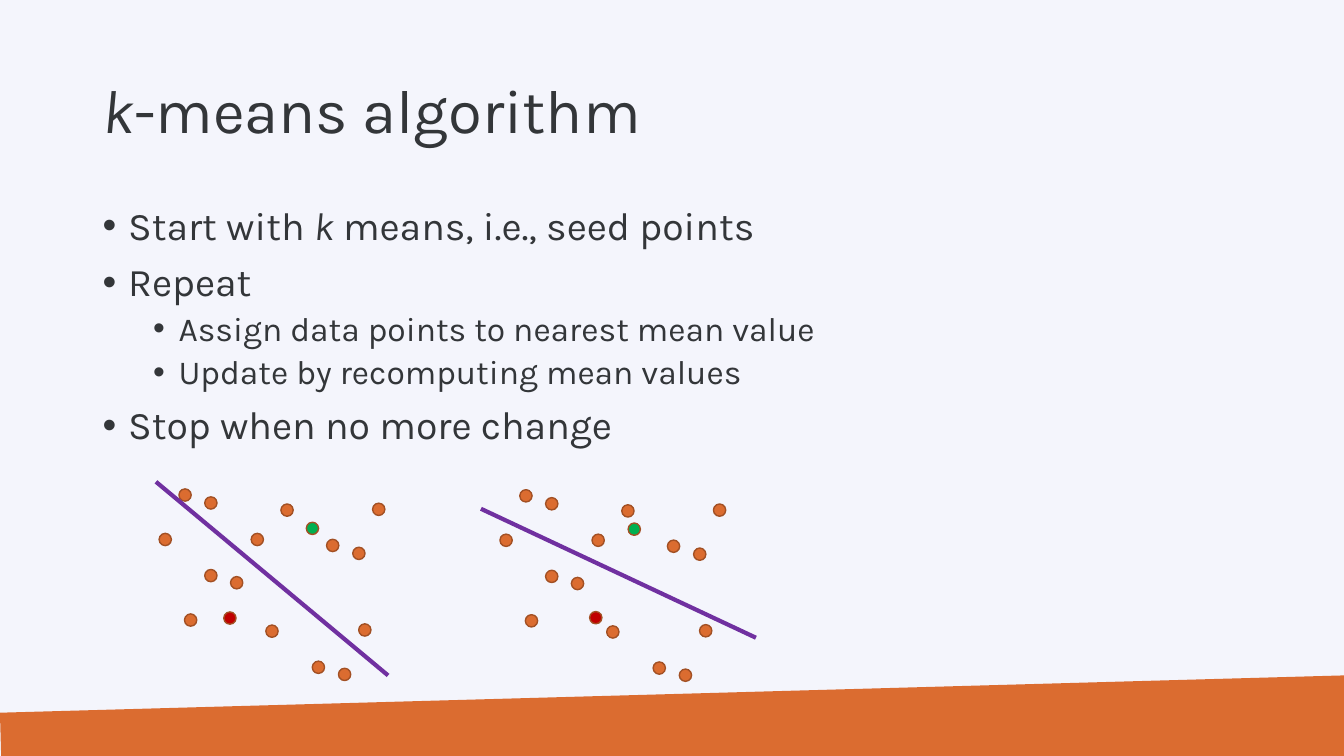
from lxml import etree
from pptx import Presentation
from pptx.dml.color import RGBColor as Rgb
from pptx.enum.shapes import MSO_CONNECTOR as Conn, MSO_SHAPE as Shape
from pptx.enum.text import MSO_ANCHOR as Anchor
from pptx.oxml.ns import qn
from pptx.util import Cm, Pt

HUES = {
    "back": "F4F5FC", "text": "333639", "dot": "DB6C30", "rim": "A25024",
    "green": "00B050", "red": "C00000", "split": "7030A0",
}
FONT = "Karla"
WIDE, HIGH = 33.87, 19.05
DOT = 0.31

# Data points in cm, from the corner of a plot
DATA = [
    (0.64, 3.15), (1.8, 2.21), (1.15, 2.03), (2.32, 1.12), (0, 1.12),
    (1.15, 0.2), (0.5, 0), (4.88, 1.47), (4.22, 1.27), (5.38, 0.36),
    (3.07, 0.38), (4.52, 4.52), (3.86, 4.34), (5.03, 3.4), (2.69, 3.43),
]

# Each plot: corner, the two means, and the ends of the dividing line
PLOTS = [
    {"left": 4.01, "top": 12.32, "green": (3.71, 0.84), "red": (1.63, 3.1),
     "split": [(-0.08, -0.18), (5.77, 4.7)]},
    {"left": 12.6, "top": 12.34, "green": (3.23, 0.84), "red": (2.26, 3.07),
     "split": [(-0.48, 0.48), (6.45, 3.73)]},
]

# Level and runs of each bullet; italic runs stand at odd places
ITEMS = [
    (0, ["Start with ", "k", " means, i.e., seed points"]),
    (0, ["Repeat"]),
    (1, ["Assign data points to nearest mean value"]),
    (1, ["Update by recomputing mean values"]),
    (0, ["Stop when no more change"]),
]


def hue(name):
    return Rgb.from_string(HUES[name])


def paint(shape, fill):
    shape.shadow.inherit = False
    shape.fill.solid()
    shape.fill.fore_color.rgb = hue(fill)


def write(para, text, size=28, italic=False, color="text"):
    run = para.add_run()
    run.text = text
    font = run.font
    font.name, font.size, font.italic = FONT, Pt(size), italic
    font.color.rgb = hue(color)


def frame(slide, left, top, width, height, anchor):
    box = slide.shapes.add_textbox(Cm(left), Cm(top), Cm(width), Cm(height))
    text = box.text_frame
    text.word_wrap = True
    text.vertical_anchor = anchor
    return text


def bullet(para, level):
    props = para._p.get_or_add_pPr()
    props.set("marL", str(Cm(0.64 + 1.27 * level)))
    props.set("indent", str(Cm(-0.64)))
    etree.SubElement(props, qn("a:buFont")).set("typeface", "Arial")
    etree.SubElement(props, qn("a:buChar")).set("char", "•")


def footer(slide, left, top, width, height):
    right, base = left + width, top + height
    form = slide.shapes.build_freeform(Cm(left), Cm(top + 0.94))
    form.add_line_segments(
        [(Cm(x), Cm(y)) for x, y in
         [(right, top), (right, base), (left + 0.03, base)]])
    band = form.convert_to_shape()
    paint(band, "dot")
    band.line.fill.background()


def title(slide, left, top, width, height):
    para = frame(slide, left, top, width, height, Anchor.MIDDLE).paragraphs[0]
    para.line_spacing = 0.9
    write(para, "k", size=44, italic=True)
    write(para, "-means algorithm", size=44)


def body(slide, left, top, width, height):
    text = frame(slide, left, top, width, height, Anchor.TOP)
    for place, (level, runs) in enumerate(ITEMS):
        para = text.add_paragraph() if place else text.paragraphs[0]
        para.level = level
        para.line_spacing = 0.9
        para.space_before = Pt(5 if level else 10)
        bullet(para, level)
        for part, words in enumerate(runs):
            write(para, words, size=24 if level else 28, italic=part % 2 == 1)


def plot(slide, left, top, green, red, split):
    # Data points, then the two means
    dots = [(spot, "dot") for spot in DATA] + [(green, "green"), (red, "red")]
    for (x, y), fill in dots:
        dot = slide.shapes.add_shape(
            Shape.OVAL, Cm(left + x), Cm(top + y), Cm(DOT), Cm(DOT))
        paint(dot, fill)
        dot.line.color.rgb = hue("rim")
        dot.line.width = Pt(1)

    # Dividing line
    ends = [Cm(at) for x, y in split for at in (left + x, top + y)]
    line = slide.shapes.add_connector(Conn.STRAIGHT, *ends)
    line.line.color.rgb = hue("split")
    line.line.width = Pt(3)
    etree.SubElement(line._element.spPr, qn("a:effectLst"))


def main():
    deck = Presentation()
    deck.slide_width, deck.slide_height = Cm(WIDE), Cm(HIGH)
    slide = deck.slides.add_slide(deck.slide_layouts[6])
    back = slide.background.fill
    back.solid()
    back.fore_color.rgb = hue("back")

    footer(slide, 0, 17.02, WIDE, HIGH - 17.02)
    title(slide, 2.34, 1.02, 29.21, 3.68)
    body(slide, 2.34, 5.08, 29.21, 12.09)
    for parts in PLOTS:
        plot(slide, **parts)
    deck.save("out.pptx")


if __name__ == "__main__":
    main()
